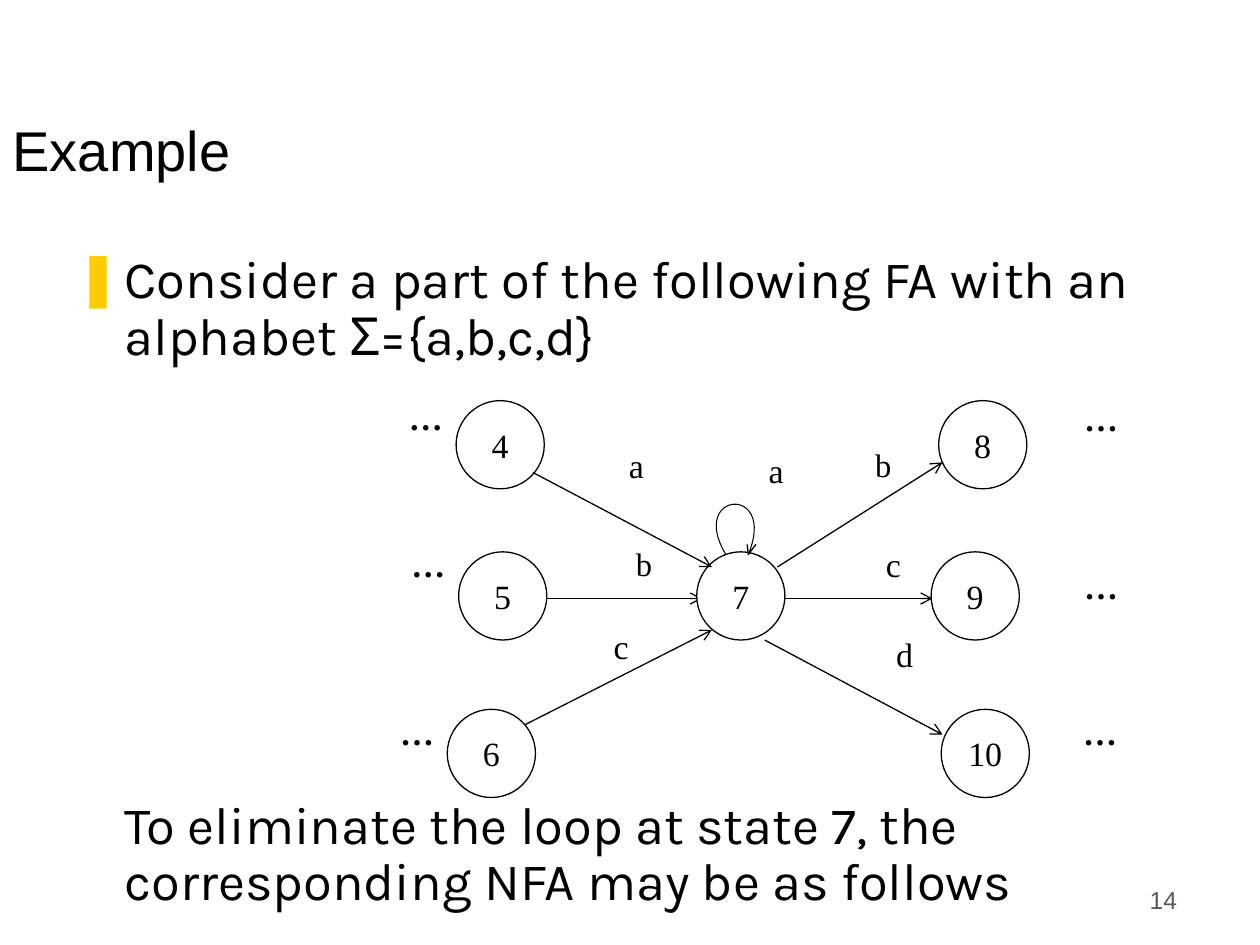
from pptx import Presentation
from pptx.dml.color import RGBColor
from pptx.enum.shapes import MSO_CONNECTOR, MSO_SHAPE
from pptx.enum.text import MSO_ANCHOR, MSO_AUTO_SIZE, PP_ALIGN
from pptx.oxml.ns import qn
from pptx.util import Emu, Pt
from lxml import etree

BLACK = RGBColor(0x00, 0x00, 0x00)
WHITE = RGBColor(0xFF, 0xFF, 0xFF)
GRAY = RGBColor(0x5E, 0x57, 0x4E)
YELLOW = RGBColor(0xFF, 0xCC, 0x00)

PX = 9144  # 100 px to the inch
STATE_SIZE = 70
LABEL_SIZE = (102, 42)

# Diagram parts, in px from the diagram's corner
STATES = {
    "4": (62, 18), "5": (64, 138), "6": (55, 263), "7": (253, 138),
    "8": (445, 18), "9": (439, 138), "10": (447, 263),
}
LEVEL_EDGES = [((132, 175), (257, 175)), ((323, 175), (440, 175))]
SLANTED_EDGES = [
    ((123, 75), (265, 150)),
    ((117, 275), (265, 200)),
    ((307, 208), (448, 283)),
    ((317, 150), (448, 67)),
]
EDGE_LABELS = [
    ("a", 154, 54, 19.4), ("b", 160, 133, 18.6), ("c", 142, 198, 19.4),
    ("a", 265, 58, 19.4), ("b", 350, 54, 18.6), ("c", 358, 133, 19.4),
    ("d", 367, 204, 19.4),
]
ELLIPSES = [(-13, 16), (-11, 133), (-20, 266), (523, 17), (523, 150), (522, 266)]
LOOP_CURVE = [(276, 140), (246, 90), (317, 84), (294, 140)]
LOOP_HEAD = [(293, 132), (294, 140), (300, 132)]


def px(*lengths):
    return [Emu(round(length * PX)) for length in lengths]


def apply(target, formats):
    for name, value in formats.items():
        setattr(target, name, value)


def style_font(paragraph, color, **formats):
    apply(paragraph.font, formats)
    paragraph.font.color.rgb = color


def style_line(line, width=0.75):
    line.color.rgb = BLACK
    line.width = Pt(width)


def place(shape, box):
    apply(shape, dict(zip(("left", "top", "width", "height"), px(*box))))


def add_title(slide, box):
    title = slide.shapes.title
    place(title, box)
    frame = title.text_frame
    apply(frame, {"text": "Example", "vertical_anchor": MSO_ANCHOR.BOTTOM,
                  "auto_size": MSO_AUTO_SIZE.NONE})
    heading = frame.paragraphs[0]
    heading.alignment = PP_ALIGN.LEFT
    style_font(heading, BLACK, name="Arial", size=Pt(32))


def set_bullet(paragraph, indent, mark=None):
    properties = paragraph._p.get_or_add_pPr()
    properties.set("marL", str(38 * PX))
    properties.set("indent", str(indent * PX))
    if mark is None:
        etree.SubElement(properties, qn("a:buNone"))
        return
    color = etree.SubElement(properties, qn("a:buClr"))
    etree.SubElement(color, qn("a:srgbClr"), val=str(YELLOW))
    etree.SubElement(properties, qn("a:buChar"), char=mark)


def add_body(slide, box):
    body = slide.placeholders[1]
    place(body, box)
    frame = body.text_frame
    frame.auto_size = MSO_AUTO_SIZE.NONE
    intro, outcome = frame.paragraphs[0], frame.add_paragraph()
    intro.text = ("Consider a part of the following FA with an "
                  "alphabet Σ={a,b,c,d}")
    outcome.text = ("To eliminate the loop at state 7, the "
                    "corresponding NFA may be as follows")
    set_bullet(intro, -38, "❚")
    set_bullet(outcome, 0)
    # The diagram sits in the gap between the two paragraphs
    for paragraph, gap in ((intro, 0), (outcome, 247)):
        apply(paragraph, {"line_spacing": 0.9, "space_before": Pt(gap)})
        style_font(paragraph, BLACK, name="Karla", size=Pt(30))


def write_label(frame, text, size=19.4, bold=False, **formats):
    apply(frame, {"text": text, **formats})
    line = frame.paragraphs[0]
    line.alignment = PP_ALIGN.CENTER
    style_font(line, BLACK, name="Times New Roman", size=Pt(size), bold=bold)
    return line


def add_label(slide, text, left, top, size=19.4, bold=False):
    label = slide.shapes.add_textbox(*px(left, top, *LABEL_SIZE))
    line = write_label(label.text_frame, text, size, bold, word_wrap=True)
    line.line_spacing = 0.8


def add_edge(slide, left, top, start, end):
    edge = slide.shapes.add_connector(
        MSO_CONNECTOR.STRAIGHT,
        *px(left + start[0], top + start[1], left + end[0], top + end[1]))
    style_line(edge.line)
    etree.SubElement(edge.line._get_or_add_ln(), qn("a:tailEnd"), type="arrow")
    etree.SubElement(edge._element.spPr, qn("a:effectLst"))


def add_state(slide, number, left, top):
    state = slide.shapes.add_shape(
        MSO_SHAPE.OVAL, *px(left, top, STATE_SIZE, STATE_SIZE))
    state.shadow.inherit = False
    state.fill.solid()
    state.fill.fore_color.rgb = WHITE
    style_line(state.line)
    write_label(state.text_frame, number, word_wrap=False,
                vertical_anchor=MSO_ANCHOR.MIDDLE, margin_left=0,
                margin_right=0, margin_top=0, margin_bottom=0)


def add_stroke(slide, left, top, points, width):
    first, *rest = [px(left + x, top + y) for x, y in points]
    builder = slide.shapes.build_freeform(*first)
    builder.add_line_segments(rest, close=False)
    stroke = builder.convert_to_shape()
    stroke.shadow.inherit = False
    stroke.fill.background()
    style_line(stroke.line, width)


def bezier(points, steps=32):
    for step in range(steps + 1):
        t = step / steps
        weights = ((1 - t) ** 3, 3 * t * (1 - t) ** 2, 3 * t * t * (1 - t), t ** 3)
        yield tuple(sum(w * p[axis] for w, p in zip(weights, points))
                    for axis in (0, 1))


def add_automaton(slide, left, top):
    # Level edges lie behind the states, slanted ones in front
    for start, end in LEVEL_EDGES:
        add_edge(slide, left, top, start, end)
    for number, (x, y) in STATES.items():
        add_state(slide, number, left + x, top + y)
    for start, end in SLANTED_EDGES:
        add_edge(slide, left, top, start, end)
    # Loop at state 7
    add_stroke(slide, left, top, bezier(LOOP_CURVE), 0.6)
    add_stroke(slide, left, top, LOOP_HEAD, 0.75)
    # Edge letters and continuation dots
    for letter, x, y, size in EDGE_LABELS:
        add_label(slide, letter, left + x, top + y, size)
    for x, y in ELLIPSES:
        add_label(slide, "…", left + x, top + y, bold=True)


def add_page_number(slide, box):
    page = slide.shapes.add_textbox(*px(*box))
    frame = page.text_frame
    apply(frame, {"word_wrap": True, "text": "14",
                  "vertical_anchor": MSO_ANCHOR.BOTTOM})
    number = frame.paragraphs[0]
    number.alignment = PP_ALIGN.RIGHT
    style_font(number, GRAY, name="Arial", size=Pt(14))


def main():
    deck = Presentation()
    deck.slide_width, deck.slide_height = px(1000, 750)
    slide = deck.slides.add_slide(deck.slide_layouts[1])
    add_page_number(slide, (736, 681, 208, 50))
    add_title(slide, (0, 25, 850, 125))
    add_body(slide, (51, 196, 894, 544))
    add_automaton(slide, 300, 300)
    deck.save("out.pptx")


if __name__ == "__main__":
    main()
